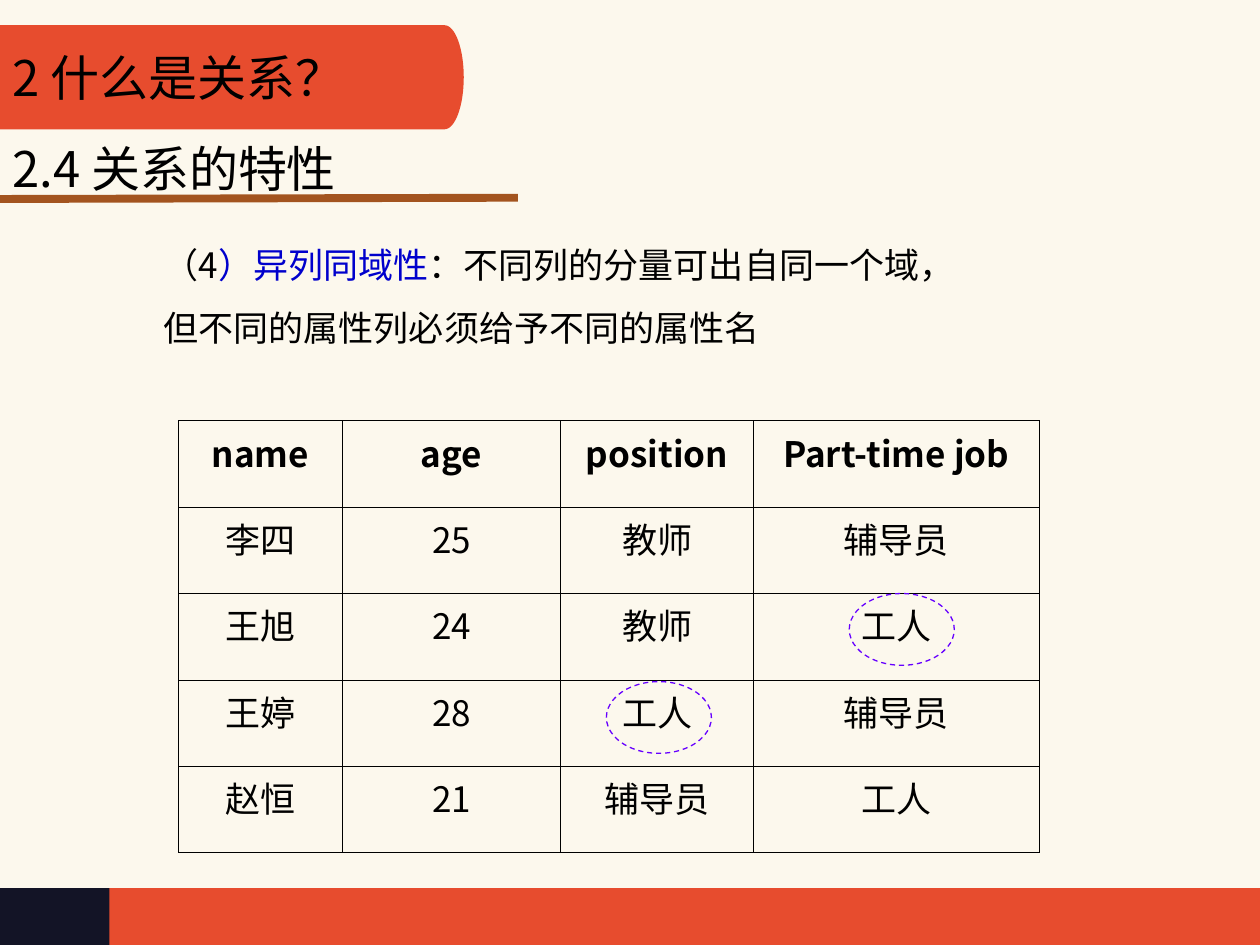
from dataclasses import dataclass
from math import cos, pi, sin

from lxml import etree
from pptx import Presentation
from pptx.dml.color import RGBColor
from pptx.enum.dml import MSO_LINE
from pptx.enum.shapes import MSO_CONNECTOR, MSO_SHAPE
from pptx.enum.text import MSO_ANCHOR, PP_ALIGN
from pptx.oxml.ns import qn
from pptx.util import Pt

RECTANGLE = MSO_SHAPE.RECTANGLE
OVAL = MSO_SHAPE.OVAL
STRAIGHT = MSO_CONNECTOR.STRAIGHT
DASH = MSO_LINE.DASH
MIDDLE = MSO_ANCHOR.MIDDLE
LEFT = PP_ALIGN.LEFT
CENTER = PP_ALIGN.CENTER

CREAM = RGBColor(0xFC, 0xF8, 0xED)
ORANGE = RGBColor(0xE7, 0x4C, 0x2E)
NAVY = RGBColor(0x13, 0x14, 0x26)
BROWN = RGBColor(0xA3, 0x54, 0x1F)
BLACK = RGBColor(0, 0, 0)
BLUE = RGBColor(0, 0, 0xCC)
PURPLE = RGBColor(0x66, 0, 0xFF)

FONT_SC = "Noto Sans CJK SC"
FONT_JP = "Noto Sans CJK JP"

SLIDE_WIDTH, SLIDE_HEIGHT = 720, 540
FOOTER_TOP = 507.5
COLUMN_WIDTHS = (93.7, 124.7, 110.2, 163.2)
ROW_HEIGHT = 49.4
ROWS = (
    ("name", "age", "position", "Part-time job"),
    ("李四", "25", "教师", "辅导员"),
    ("王旭", "24", "教师", "工人"),
    ("王婷", "28", "工人", "辅导员"),
    ("赵恒", "21", "辅导员", "工人"),
)


@dataclass(frozen=True)
class Box:
    left: float
    top: float
    width: float
    height: float

    def lengths(self) -> tuple:
        return Pt(self.left), Pt(self.top), Pt(self.width), Pt(self.height)


@dataclass(frozen=True)
class TextRun:
    text: str
    size: float = 20
    color: RGBColor = BLACK
    font: str = FONT_SC
    bold: bool = False


FOOTER_BARS = (
    (Box(0, FOOTER_TOP, SLIDE_WIDTH, SLIDE_HEIGHT - FOOTER_TOP), ORANGE),
    (Box(0, FOOTER_TOP, 62.5, SLIDE_HEIGHT - FOOTER_TOP), NAVY),
)
HIGHLIGHTS = (Box(346.5, 389.5, 60, 41), Box(485.3, 339.2, 60, 41))
EXPLANATION = (
    (
        TextRun("（4"),
        TextRun("）异列同域性", color=BLUE),
        TextRun("：不同列的分量可出自同一个域，"),
    ),
    (TextRun("但不同的属性列必须给予不同的属性名"),),
)


def add_run(paragraph, text_run: TextRun) -> None:
    run = paragraph.add_run()
    run.text = text_run.text
    run.font.size = Pt(text_run.size)
    run.font.bold = text_run.bold
    run.font.name = text_run.font
    run.font.color.rgb = text_run.color
    east_asian = etree.SubElement(run.font._element, qn("a:ea"))
    east_asian.set("typeface", text_run.font)


def add_bar(slide, box: Box, color: RGBColor) -> None:
    shape = slide.shapes.add_shape(RECTANGLE, *box.lengths())
    shape.shadow.inherit = False
    shape.fill.solid()
    shape.fill.fore_color.rgb = color
    shape.line.fill.background()


def add_title_tab(slide, box: Box, cap_width: float, title: TextRun) -> None:
    radius = box.height / 2
    straight_end = box.left + box.width - cap_width
    middle = box.top + radius
    steps = 32
    angles = [pi * step / steps - pi / 2 for step in range(steps + 1)]
    cap = [
        (Pt(straight_end + cap_width * cos(angle)), Pt(middle + radius * sin(angle)))
        for angle in angles
    ]
    builder = slide.shapes.build_freeform(Pt(box.left), Pt(box.top))
    builder.add_line_segments(cap + [(Pt(box.left), Pt(box.top + box.height))])
    shape = builder.convert_to_shape()
    shape.shadow.inherit = False
    shape.fill.solid()
    shape.fill.fore_color.rgb = ORANGE
    shape.line.fill.background()
    shape.text_frame.word_wrap = True
    shape.text_frame.vertical_anchor = MIDDLE
    paragraph = shape.text_frame.paragraphs[0]
    paragraph.alignment = LEFT
    add_run(paragraph, title)


def add_text(slide, box: Box, lines: tuple, spacing: float = 1.0) -> None:
    frame = slide.shapes.add_textbox(*box.lengths()).text_frame
    frame.word_wrap = True
    for index, line in enumerate(lines):
        paragraph = frame.add_paragraph() if index else frame.paragraphs[0]
        paragraph.line_spacing = spacing
        for text_run in line:
            add_run(paragraph, text_run)


def add_divider(slide) -> None:
    connector = slide.shapes.add_connector(
        STRAIGHT, Pt(0), Pt(113.7), Pt(296), Pt(113)
    )
    connector.line.color.rgb = BROWN
    connector.line.width = Pt(4.5)
    etree.SubElement(connector._element.spPr, qn("a:effectLst"))


def add_borders(cell) -> None:
    properties = cell._tc.get_or_add_tcPr()
    for side in ("lnL", "lnR", "lnT", "lnB"):
        border = etree.SubElement(properties, qn(f"a:{side}"), w=str(Pt(0.23)))
        fill = etree.SubElement(border, qn("a:solidFill"))
        etree.SubElement(fill, qn("a:srgbClr"), val=str(BLACK))


def add_relation_table(slide, left: float, top: float) -> None:
    box = Box(left, top, sum(COLUMN_WIDTHS), ROW_HEIGHT * len(ROWS))
    table = slide.shapes.add_table(
        len(ROWS), len(COLUMN_WIDTHS), *box.lengths()
    ).table
    table.horz_banding = False
    for column, width in zip(table.columns, COLUMN_WIDTHS):
        column.width = Pt(width)
    for row_index, values in enumerate(ROWS):
        table.rows[row_index].height = Pt(ROW_HEIGHT)
        for column_index, value in enumerate(values):
            cell = table.cell(row_index, column_index)
            add_borders(cell)
            cell.fill.background()
            cell.vertical_anchor = MIDDLE
            cell.margin_left = cell.margin_right = Pt(6)
            paragraph = cell.text_frame.paragraphs[0]
            paragraph.alignment = CENTER
            paragraph.line_spacing = Pt(15.4)
            add_run(paragraph, TextRun(value, bold=row_index == 0))


def add_highlight(slide, box: Box) -> None:
    shape = slide.shapes.add_shape(OVAL, *box.lengths())
    shape.shadow.inherit = False
    shape.fill.background()
    shape.line.color.rgb = PURPLE
    shape.line.width = Pt(0.75)
    shape.line.dash_style = DASH


def main() -> None:
    presentation = Presentation()
    presentation.slide_width = Pt(SLIDE_WIDTH)
    presentation.slide_height = Pt(SLIDE_HEIGHT)
    slide = presentation.slides.add_slide(presentation.slide_layouts[6])
    slide.background.fill.solid()
    slide.background.fill.fore_color.rgb = CREAM
    for box, color in FOOTER_BARS:
        add_bar(slide, box, color)
    add_title_tab(slide, Box(0, 14.4, 265, 59.5), 11, TextRun("2 什么是关系？", 28))
    heading = TextRun("2.4 关系的特性", 28, font=FONT_JP)
    add_text(slide, Box(0, 75.6, 438.5, 41), ((heading,),))
    add_divider(slide)
    add_text(slide, Box(86.4, 123.8, 514.8, 79.2), EXPLANATION, 1.5)
    add_relation_table(slide, 102, 240.3)
    for box in HIGHLIGHTS:
        add_highlight(slide, box)
    presentation.save("out.pptx")


if __name__ == "__main__":
    main()
